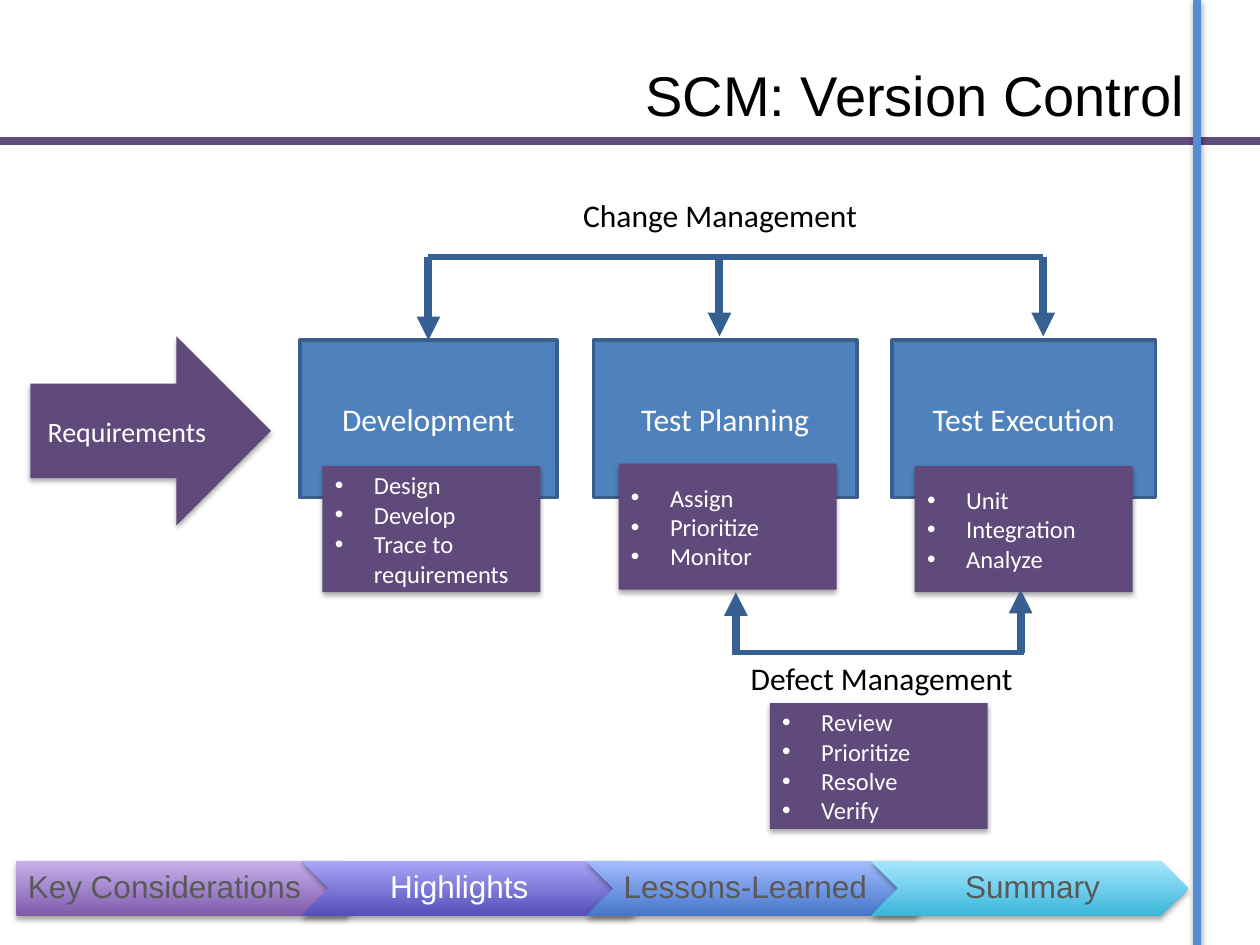
from dataclasses import dataclass

from lxml.etree import SubElement
from pptx import Presentation
from pptx.dml.color import RGBColor
from pptx.enum.shapes import MSO_CONNECTOR, MSO_SHAPE
from pptx.enum.text import MSO_ANCHOR, PP_ALIGN
from pptx.oxml.ns import qn
from pptx.util import Inches, Pt


@dataclass(frozen=True)
class Theme:
    """Colours, fonts and type sizes of the slide."""
    plum: str = "604A7B"
    blue: str = "4F81BD"
    edge: str = "3A5F8C"
    navy: str = "376092"
    sky: str = "558ED5"
    white: str = "FFFFFF"
    black: str = "000000"
    grey: str = "595959"
    body: str = "Calibri"
    head: str = "Arial"
    title: int = 32
    label: int = 18
    input: int = 16
    item: int = 14


THEME = Theme()


def rgb(code):
    """Turn a hex code into a colour."""
    return RGBColor.from_string(code)


def shade(shape, alpha=35, drop=1.8):
    """Give a shape a soft shadow below it, or none when alpha is zero."""
    props = shape._element.spPr
    for old in props.findall(qn("a:effectLst")):
        props.remove(old)
    effects = SubElement(props, qn("a:effectLst"))
    if alpha:
        outer = SubElement(effects, qn("a:outerShdw"), blurRad=str(Pt(3.1)),
                           dist=str(Pt(drop)), dir="5400000", rotWithShape="0")
        tint = SubElement(outer, qn("a:srgbClr"), val=THEME.black)
        SubElement(tint, qn("a:alpha"), val=str(alpha * 1000))


def write(shape, text, size, colour, font=THEME.body, align=PP_ALIGN.CENTER):
    """Set the text of a shape and format its runs."""
    frame = shape.text_frame
    frame.text = text
    frame.word_wrap = True
    frame.vertical_anchor = MSO_ANCHOR.MIDDLE
    for para in frame.paragraphs:
        para.alignment = align
        for run in para.runs:
            run.font.name, run.font.size = font, Pt(size)
            run.font.color.rgb = rgb(colour)
    return frame


def block(parent, kind, x, y, w, h, fill, edge=None):
    """Add a solid shape, with either an edge or a shadow."""
    shape = parent.shapes.add_shape(kind, *map(Inches, (x, y, w, h)))
    shape.fill.solid()
    shape.fill.fore_color.rgb = rgb(fill)
    if edge:
        shape.line.color.rgb = rgb(edge)
        shape.line.width = Pt(2)
        shape.shadow.inherit = False
    else:
        shape.line.fill.background()
        shade(shape)
    return shape


def link(slide, x1, y1, x2, y2, colour, width=4.5, arrow=False):
    """Add a straight line, with an arrowhead at its end if asked."""
    line = slide.shapes.add_connector(
        MSO_CONNECTOR.STRAIGHT, *map(Inches, (x1, y1, x2, y2)))
    line.line.color.rgb = rgb(colour)
    line.line.width = Pt(width)
    if arrow:
        SubElement(line.line._get_or_add_ln(), qn("a:tailEnd"), type="triangle")
    shade(line, 0)
    return line


def header(slide, x, y, w, h, text):
    """Draw the two page rules and place the title."""
    link(slide, 0, 1.12, 10, 1.12, THEME.plum)
    shade(link(slide, x + w, 0, x + w, 7.5, THEME.sky), 38, 1.6)
    title = slide.shapes.title
    title.left, title.top, title.width, title.height = map(Inches, (x, y, w, h))
    write(title, text, THEME.title, THEME.black, THEME.head, PP_ALIGN.RIGHT)


def roster(slide, x, y, items):
    """Draw a plum card with a bulleted list."""
    card = block(slide, MSO_SHAPE.RECTANGLE, x, y, 1.73, 1, THEME.plum)
    frame = write(card, "\n".join(items), THEME.item, THEME.white,
                  align=PP_ALIGN.LEFT)
    for para in frame.paragraphs:
        props = para._p.get_or_add_pPr()
        props.set("marL", str(Inches(0.31)))
        props.set("indent", str(Inches(-0.31)))
        SubElement(props, qn("a:buFont"), typeface=THEME.head)
        SubElement(props, qn("a:buChar"), char="•")


def stage(slide, x, y, w, h, name, items, dx, dy):
    """Draw a process box with its list card over the lower edge."""
    box = block(slide, MSO_SHAPE.RECTANGLE, x, y, w, h, THEME.blue, THEME.edge)
    write(box, name, THEME.label, THEME.white)
    roster(slide, x + dx, y + dy, items)
    return box


def bracket(slide, x, y, w, stems):
    """Draw a bar with arrows, each given by offset, start and end."""
    arrows = [link(slide, x + dx, y + start, x + dx, y + end, THEME.navy,
                   arrow=True) for dx, start, end in stems]
    link(slide, x, y, x + w, y, THEME.navy, 3)
    return arrows


def caption(slide, x, y, text):
    """Add a plain label."""
    label = slide.shapes.add_textbox(*map(Inches, (x, y, 2.58, 0.4)))
    write(label, text, THEME.label, THEME.black, align=PP_ALIGN.LEFT)


def strip(slide, x, y, h, step, parts):
    """Draw the row of overlapping chevrons, each grouped with its label."""
    for i, (text, w, dx, span, dark, light, ink) in enumerate(parts):
        left = x + i * step
        group = slide.shapes.add_group_shape()
        kind = MSO_SHAPE.CHEVRON if i else MSO_SHAPE.PENTAGON
        tab = block(group, kind, left, y, w, h, dark)
        tab.fill.gradient()
        tab.fill.gradient_angle = 90
        for stop, code in zip(tab.fill.gradient_stops, (dark, light)):
            stop.color.rgb = rgb(code)
        label = group.shapes.add_textbox(
            *map(Inches, (left + dx, y, span, h)))
        frame = write(label, text, THEME.label, ink, THEME.head)
        frame.margin_left = Inches(0.08 if i else 0.1)
        frame.margin_right = Inches(0.03)
        frame.paragraphs[0].line_spacing = 0.9


def main():
    """Build the slide and save it."""
    deck = Presentation()
    deck.slide_width, deck.slide_height = Inches(10), Inches(7.5)
    slide = deck.slides.add_slide(deck.slide_layouts[5])
    header(slide, 0.15, 0.12, 9.35, 1.25, "SCM: Version Control")

    entry = block(slide, MSO_SHAPE.RIGHT_ARROW, 0.24, 2.67, 1.91, 1.5, THEME.plum)
    write(entry, "Requirements", THEME.input, THEME.white)
    first, *_ = [stage(slide, x, 2.7, w, 1.25, *rest) for x, w, *rest in (
        (2.38, 2.04, "Development",
         ("Design", "Develop", "Trace to requirements"), 0.18, 1),
        (4.71, 2.09, "Test Planning",
         ("Assign", "Prioritize", "Monitor"), 0.2, 0.98),
        (7.08, 2.09, "Test Execution",
         ("Unit", "Integration", "Analyze"), 0.18, 1))]

    caption(slide, 4.53, 1.51, "Change Management")
    drops = bracket(slide, 3.4, 2.04, 4.88,
                    [(dx, 0, 0.63) for dx in (0, 2.31, 4.88)])
    drops[0].end_connect(first, 0)

    roster(slide, 6.11, 5.58, ("Review", "Prioritize", "Resolve", "Verify"))
    bracket(slide, 5.82, 5.18, 2.31, ((0.02, 0.02, -0.48), (2.28, 0, -0.5)))
    caption(slide, 5.86, 5.18, "Defect Management")

    strip(slide, 0.13, 6.83, 0.44, 2.26, (
        ("Key Considerations", 2.83, -0.22, 2.72, "7F5BAB", "C8B0ED", THEME.grey),
        ("Highlights", 2.83, 0.04, 2.38, "544FBA", "AAA7F8", THEME.white),
        ("Lessons-Learned", 2.83, 0.05, 2.38, "4476C9", "A4BDFF", THEME.grey),
        ("Summary", 2.52, 0.2, 2.12, "39B7D8", "A7E6FF", THEME.grey)))
    deck.save("out.pptx")


if __name__ == "__main__":
    main()
